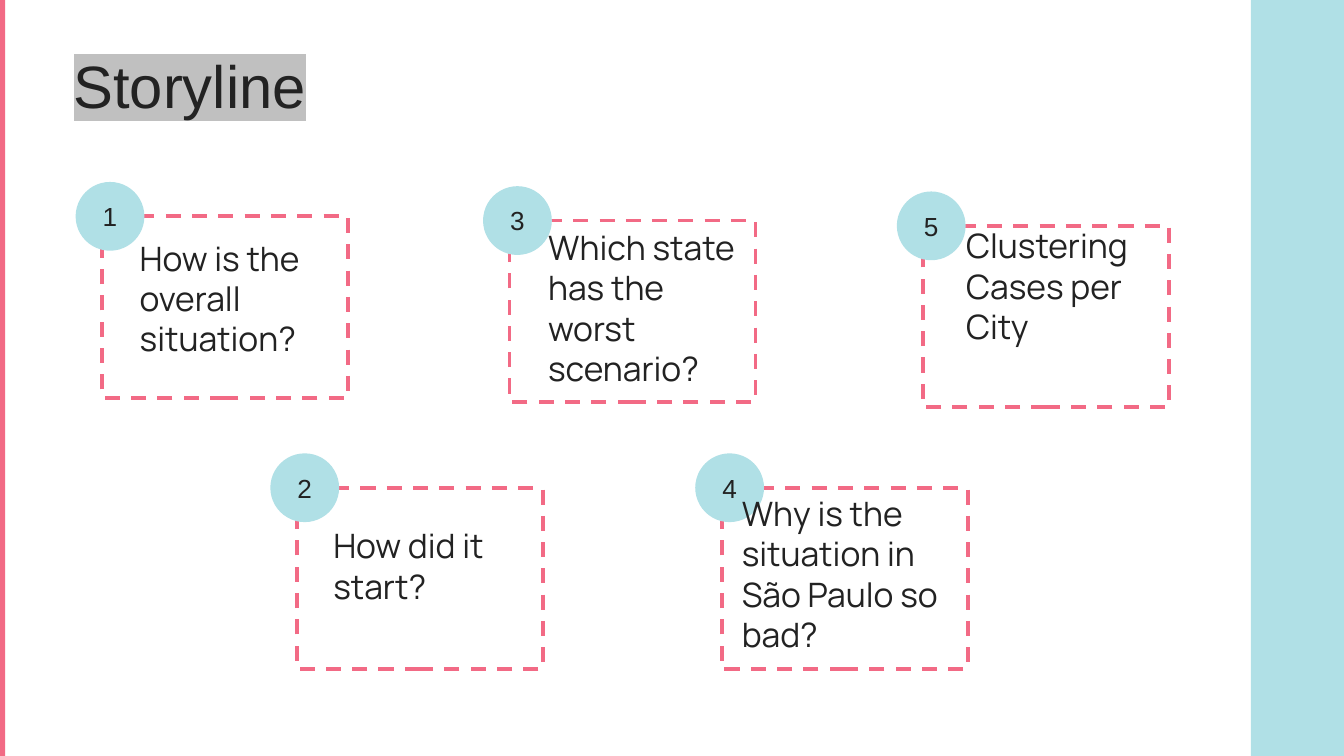
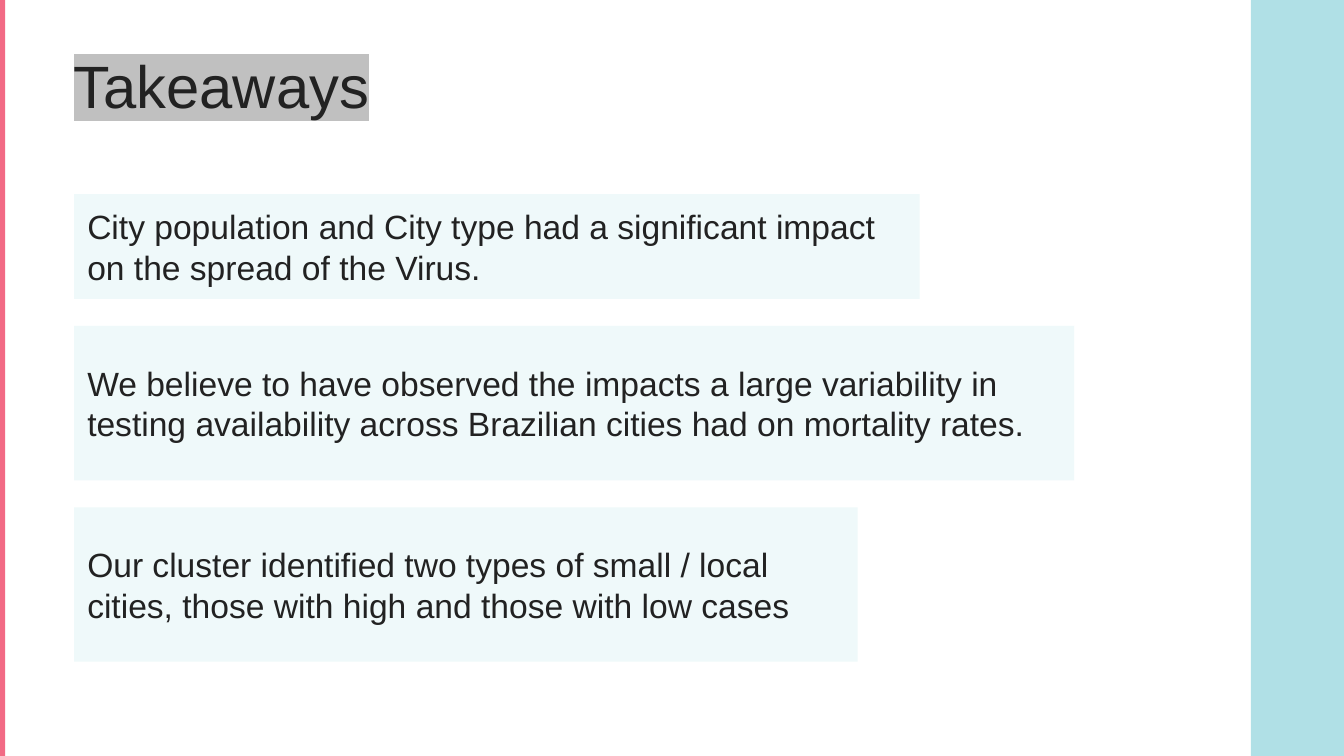
"""Build the storyline and takeaways slides."""
import lxml.etree
import pptx
import pptx.dml.color
import pptx.enum.dml
import pptx.enum.shapes
import pptx.enum.text
import pptx.oxml.ns
import pptx.util

Cm = pptx.util.Cm
Pt = pptx.util.Pt
RGBColor = pptx.dml.color.RGBColor
SHAPE = pptx.enum.shapes.MSO_SHAPE
ANCHOR = pptx.enum.text.MSO_ANCHOR
ALIGN = pptx.enum.text.PP_ALIGN
qn = pptx.oxml.ns.qn

PINK = RGBColor(0xF2, 0x6A, 0x85)
TEAL = RGBColor(0xB0, 0xE0, 0xE6)
PALE = RGBColor(0xEF, 0xF9, 0xFA)
INK = RGBColor(0x22, 0x22, 0x22)
GREY = RGBColor(0xC0, 0xC0, 0xC0)


def add_block(slide, kind, left, top, width, height, fill):
    block = slide.shapes.add_shape(kind, Cm(left), Cm(top), Cm(width), Cm(height))
    block.shadow.inherit = False
    block.line.fill.background()
    if fill is None:
        block.fill.background()
    else:
        block.fill.solid()
        block.fill.fore_color.rgb = fill
    return block


def write(shape, text, size, font="Arial", align=ALIGN.LEFT, anchor=ANCHOR.MIDDLE):
    frame = shape.text_frame
    frame.word_wrap = True
    frame.auto_size = pptx.enum.text.MSO_AUTO_SIZE.NONE
    frame.vertical_anchor = anchor
    frame.margin_left = frame.margin_right = Cm(0.25)
    frame.margin_top = frame.margin_bottom = Cm(0.25)
    paragraph = frame.paragraphs[0]
    paragraph.alignment = align
    paragraph.space_before = Pt(0)
    run = paragraph.add_run()
    run.text = text
    run.font.size = Pt(size)
    run.font.color.rgb = INK
    run.font.name = font
    return paragraph


deck = pptx.Presentation()
deck.slide_width = Cm(25.4)
deck.slide_height = Cm(14.29)

slides = []
for heading, layout in [("Storyline", 1), ("Takeaways", 5)]:
    slide = deck.slides.add_slide(deck.slide_layouts[layout])
    title = slide.shapes.title
    title.left, title.top = Cm(1.14), Cm(0.46)
    title.width, title.height = Cm(22.86), Cm(1.52)
    line = write(title, heading, 32, anchor=ANCHOR.TOP)
    line.line_spacing = 1.15
    fill = line.runs[0].font._element.find(qn("a:solidFill"))
    highlight = lxml.etree.Element(qn("a:highlight"))
    lxml.etree.SubElement(highlight, qn("a:srgbClr"), val=str(GREY))
    fill.addnext(highlight)
    add_block(slide, SHAPE.RECTANGLE, -0.05, 0, 0.15, 14.29, PINK)
    add_block(slide, SHAPE.RECTANGLE, 23.64, 0, 1.76, 14.29, TEAL)
    slides.append(slide)
storyline, takeaways = slides

steps = [
    ("How is the overall situation?", 1.93, 4.09, 2.39, 4.24),
    ("How did it start?", 5.61, 9.22, 6.05, 9.68),
    ("Which state has the worst scenario?", 9.63, 4.17, 10.11, 4.04),
    ("Why is the situation in São Paulo so bad?", 13.64, 9.22, 13.77, 9.07),
    ("Clustering Cases per City", 17.45, 4.27, 18.01, 4.01),
]
for number, (question, left, top, text_left, text_top) in enumerate(steps, 1):
    frame = add_block(storyline, SHAPE.RECTANGLE, left, top, 4.65, 3.43, None)
    frame.line.color.rgb = PINK
    frame.line.width = Pt(2)
    frame.line.dash_style = pptx.enum.dml.MSO_LINE.DASH
    badge = add_block(storyline, SHAPE.OVAL, left - 0.5, top - 0.65, 1.3, 1.3, TEAL)
    write(badge, str(number), 14, align=ALIGN.CENTER)
    if number == 1:
        label = storyline.placeholders[1]
        label.left, label.top = Cm(text_left), Cm(text_top)
        label.width, label.height = Cm(4.34), Cm(3.3)
        properties = label.text_frame.paragraphs[0]._p.get_or_add_pPr()
        properties.set("marL", "0")
        properties.set("indent", "0")
        lxml.etree.SubElement(properties, qn("a:buNone"))
    else:
        label = storyline.shapes.add_textbox(Cm(text_left), Cm(text_top), Cm(4.34), Cm(3.3))
    write(label, question, 18, font="Manrope", anchor=ANCHOR.TOP)

findings = [
    ("City population and City type had a significant impact on the spread of the Virus.", 15.98, 1.98),
    ("We believe to have observed the impacts a large variability in testing availability "
     "across Brazilian cities had on mortality rates.", 18.9, 2.92),
    ("Our cluster identified two types of small / local cities, "
     "those with high and those with low cases", 14.81, 2.92),
]
top = 3.67
for finding, width, height in findings:
    panel = add_block(takeaways, SHAPE.RECTANGLE, 1.4, top, width, height, PALE)
    write(panel, finding, 18)
    top += height + 0.51

deck.save("out.pptx")
